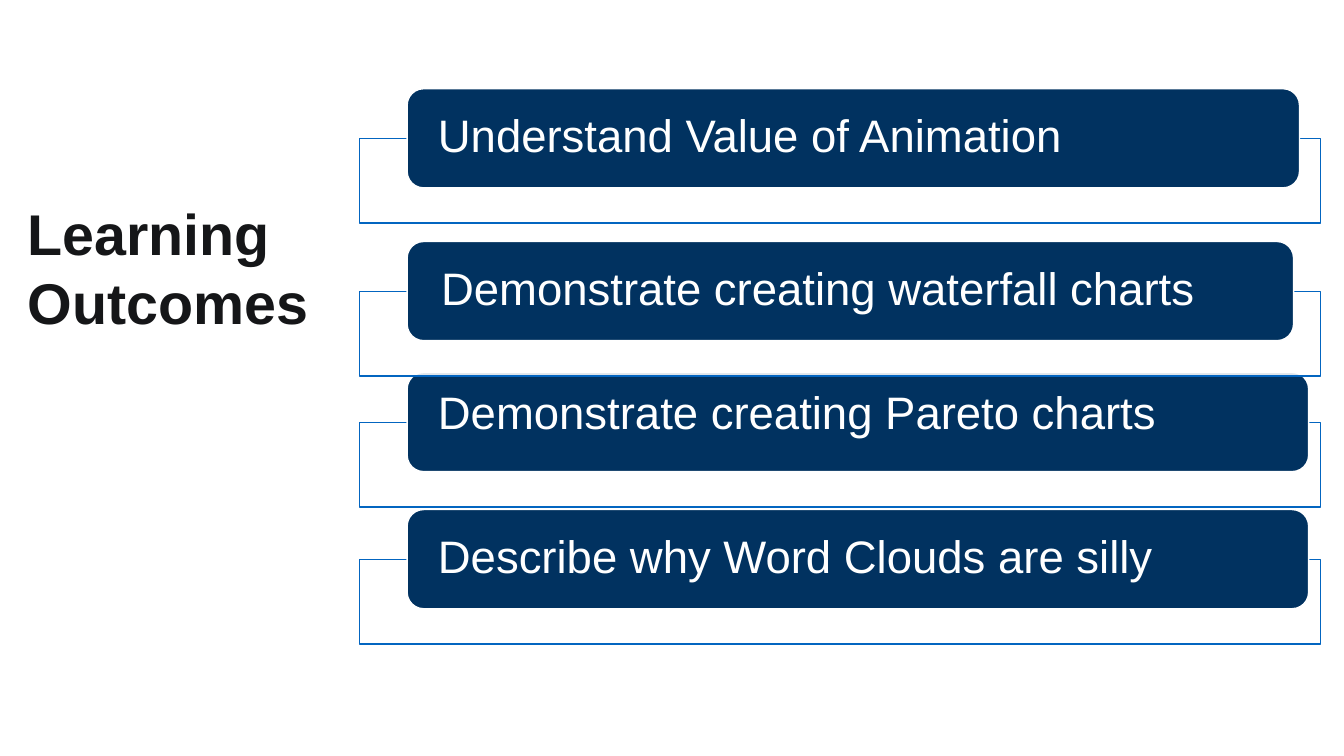
from lxml import etree
from pptx import Presentation
from pptx.dml.color import RGBColor
from pptx.enum.shapes import MSO_SHAPE
from pptx.enum.text import MSO_ANCHOR, PP_ALIGN
from pptx.oxml.ns import qn
from pptx.util import Cm, Pt

RECTANGLE = MSO_SHAPE.RECTANGLE
ROUNDED = MSO_SHAPE.ROUNDED_RECTANGLE
MIDDLE = MSO_ANCHOR.MIDDLE
LEFT = PP_ALIGN.LEFT

WHITE = RGBColor(0xFF, 0xFF, 0xFF)
NAVY = RGBColor(0x01, 0x32, 0x60)
BLUE = RGBColor(0x03, 0x65, 0xC0)
INK = RGBColor(0x15, 0x16, 0x18)

# Shared column geometry, in centimetres
FRAME_LEFT, FRAME_WIDTH, FRAME_HEIGHT, FRAME_DROP = 18.11, 48.46, 4.27, 2.51
BAR_LEFT, BAR_HEIGHT = 20.52, 5.0
LABEL_HEIGHT, LABEL_MARGIN = 2.49, 3.06

# Back to front: wording, bar top, bar width, label left, label drop, frame opacity
OUTCOMES = [
    ("Demonstrate creating Pareto charts", 18.77, 45.44, 22.07, 0.89, 86),
    ("Describe why Word Clouds are silly", 25.68, 45.44, 22.07, 1.22, 86),
    ("Understand Value of Animation", 4.47, 44.98, 22.07, 1.22, 87),
    ("Demonstrate creating waterfall charts", 12.17, 44.68, 22.23, 1.24, 87),
]


class OutcomePage:
    font_name = "Arial"
    line_width = Pt(2)

    def __init__(self, page):
        self.page = page

    def block(self, kind, left, top, width, height, fill, line):
        shape = self.page.shapes.add_shape(
            kind, Cm(left), Cm(top), Cm(width), Cm(height))
        shape.shadow.inherit = False
        shape.fill.solid()
        shape.fill.fore_color.rgb = fill
        shape.line.color.rgb = line
        shape.line.width = self.line_width
        return shape

    def frame(self, top, opacity):
        shape = self.block(RECTANGLE, FRAME_LEFT, top, FRAME_WIDTH,
                           FRAME_HEIGHT, WHITE, BLUE)
        color = shape.fill._xPr.find(qn("a:solidFill"))[0]
        etree.SubElement(color, qn("a:alpha")).set("val", str(opacity * 1000))

    def bar(self, top, width):
        self.block(ROUNDED, BAR_LEFT, top, width, BAR_HEIGHT, NAVY, WHITE)

    def text(self, words, left, top, width, height, size, color,
             bold=False, inset=0, spacing=1.0):
        box = self.page.shapes.add_textbox(
            Cm(left), Cm(top), Cm(width), Cm(height))
        text_frame = box.text_frame
        text_frame.word_wrap = True
        text_frame.vertical_anchor = MIDDLE
        text_frame.margin_left = text_frame.margin_right = Cm(inset)
        text_frame.margin_top = text_frame.margin_bottom = Cm(inset)
        text_frame.text = words
        para = text_frame.paragraphs[0]
        para.alignment = LEFT
        para.line_spacing = spacing
        span = para.runs[0]
        span.font.name = self.font_name
        span.font.size = Pt(size)
        span.font.bold = bold
        span.font.color.rgb = color

    def outcome(self, words, top, width, label_left, label_drop, opacity):
        self.frame(top + FRAME_DROP, opacity)
        self.bar(top, width)
        self.text(words, label_left, top + label_drop, width - LABEL_MARGIN,
                  LABEL_HEIGHT, 65, WHITE, spacing=0.9)


def main():
    deck = Presentation()
    deck.slide_width, deck.slide_height = Cm(67.74), Cm(38.1)
    slide = OutcomePage(deck.slides.add_slide(deck.slide_layouts[6]))

    # Title
    slide.text("Learning Outcomes", 1.14, 8.18, 15.77, 10.54, 82, INK,
               bold=True, inset=0.25)

    # Outcome list
    for outcome in OUTCOMES:
        slide.outcome(*outcome)

    deck.save("out.pptx")


if __name__ == "__main__":
    main()
